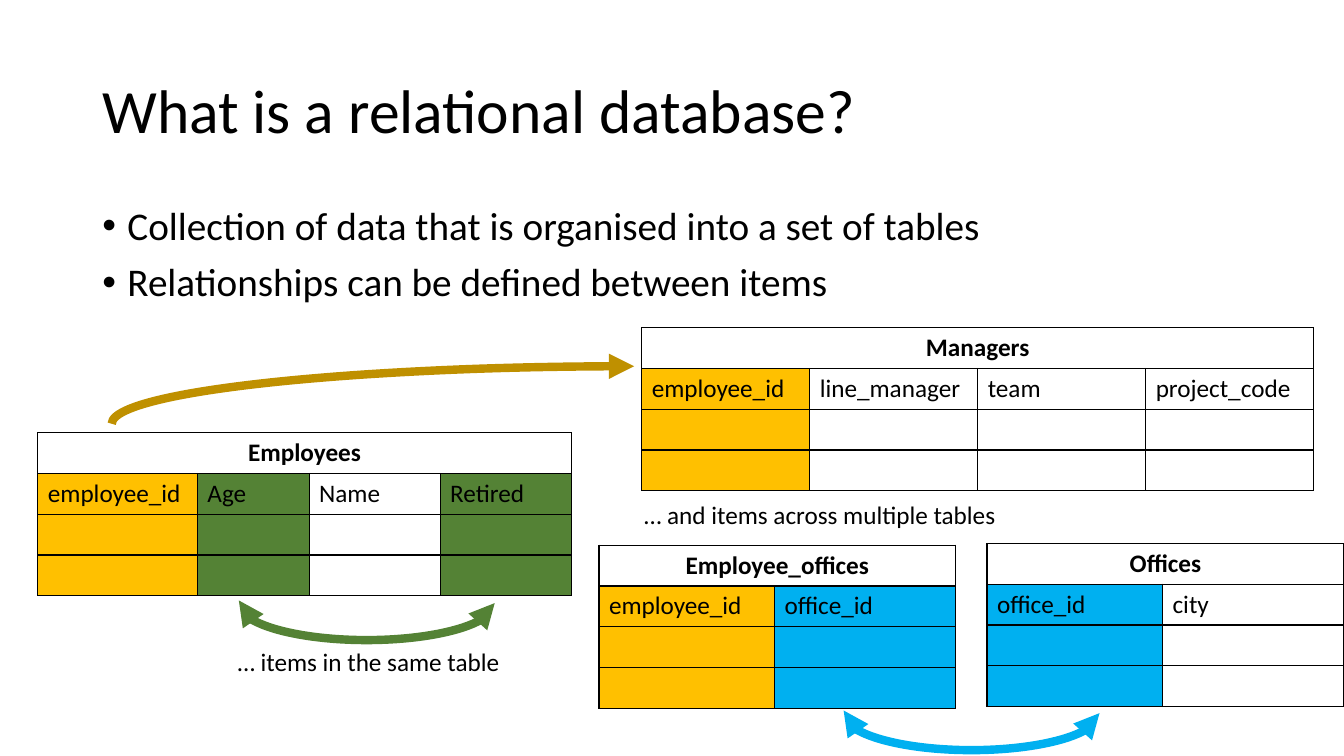
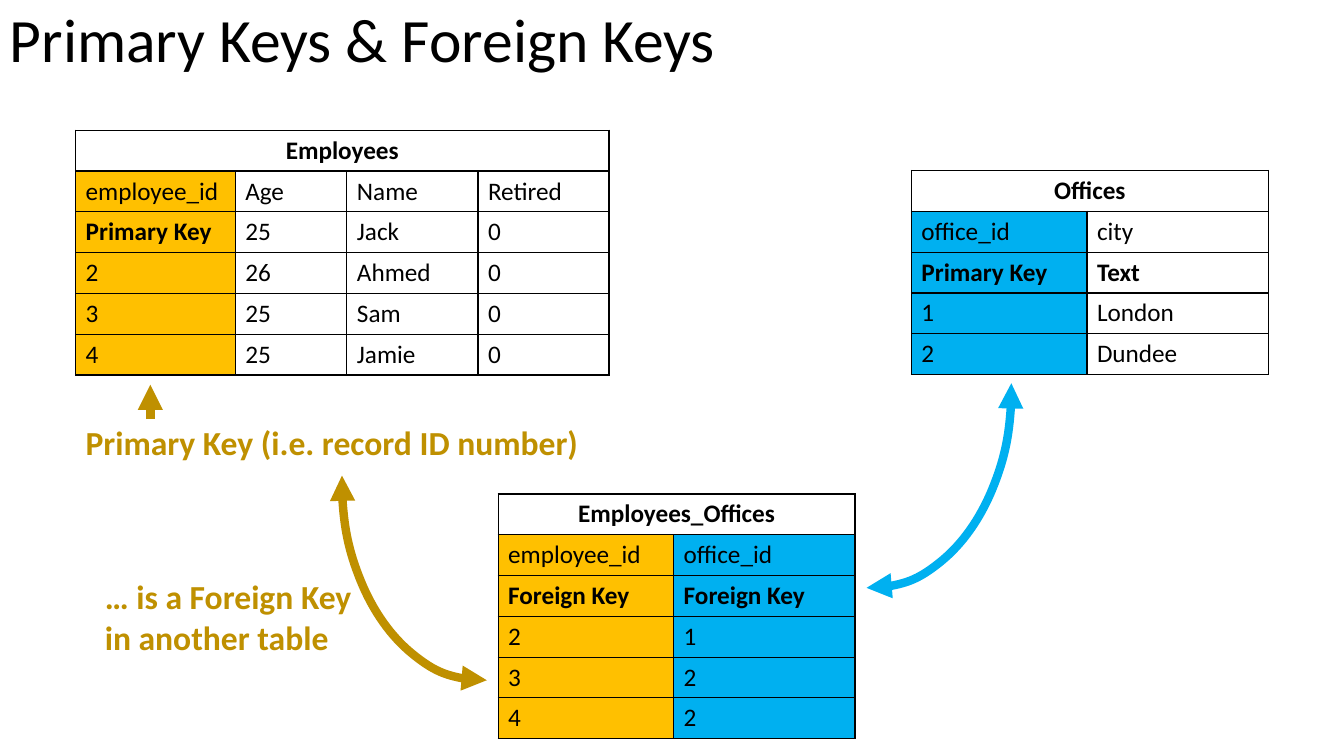
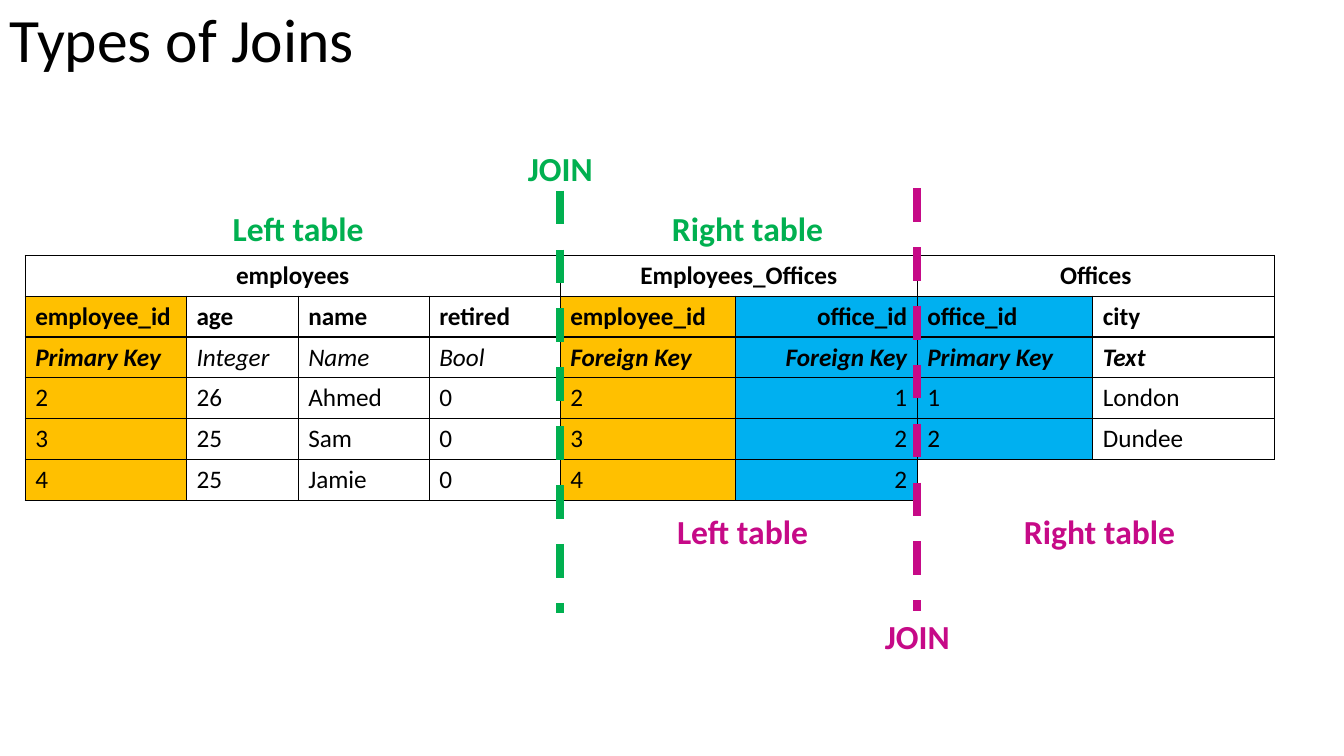
from lxml import etree
from pptx import Presentation
from pptx.dml.color import RGBColor
from pptx.enum.dml import MSO_LINE
from pptx.enum.shapes import MSO_CONNECTOR, MSO_SHAPE
from pptx.enum.text import MSO_ANCHOR, PP_ALIGN
from pptx.oxml.ns import qn
from pptx.util import Inches, Pt

WIDE, HIGH = 160, 90
CELL = Inches(1) / 12
ROW = 4.86
FONT = "Calibri"

BLACK = RGBColor(0x00, 0x00, 0x00)
AMBER = RGBColor(0xFF, 0xC0, 0x00)
GOLD = RGBColor(0xBF, 0x90, 0x00)
OLIVE = RGBColor(0x54, 0x82, 0x35)
BLUE = RGBColor(0x00, 0xB0, 0xF0)
GREEN = RGBColor(0x00, 0xB0, 0x50)
PINK = RGBColor(0xC6, 0x0A, 0x87)

LEFT, MID, RIGHT = PP_ALIGN.LEFT, PP_ALIGN.CENTER, PP_ALIGN.RIGHT
TOP, CENTER = MSO_ANCHOR.TOP, MSO_ANCHOR.MIDDLE
ARC = MSO_SHAPE.ARC
STRAIGHT = MSO_CONNECTOR.STRAIGHT
DASH = MSO_LINE.DASH

STAFF = (19, 13.3, 15.6, 15.6)
PAIR = (20.9, 21.6)
HALF = (107.28, 0)
BEND = (107.28, 163.48)


def grid(*cells):
    return [round(n * CELL) for n in cells]


def write(frame, text, size=18, color=BLACK, bold=False, italic=False,
          align=LEFT, space=1, before=0, bullet=False):
    for i, part in enumerate(text.split("\n")):
        para = frame.add_paragraph() if i else frame.paragraphs[0]
        para.alignment = align
        para.line_spacing = space
        para.space_before = Pt(before)
        run = para.add_run()
        run.text = part
        font = run.font
        font.name, font.size = FONT, Pt(size)
        font.bold, font.italic = bold, italic
        font.color.rgb = color
        if bullet:
            props = para._p.get_or_add_pPr()
            props.set("marL", str(Inches(0.25)))
            props.set("indent", str(-Inches(0.25)))
            face = etree.SubElement(props, qn("a:buFont"))
            face.set("typeface", "Arial")
            etree.SubElement(props, qn("a:buChar")).set("char", "•")


def box(slide, at, text, anchor=TOP, **style):
    frame = slide.shapes.add_textbox(*grid(*at)).text_frame
    frame.word_wrap = True
    frame.vertical_anchor = anchor
    write(frame, text, **style)


def title(slide, text, x=0, y=-3.6):
    box(slide, (x, y, 138, 17.4), text, anchor=CENTER, size=44, space=0.9)


def label(slide, mid, y, text, color):
    box(slide, (mid - 12, y, 24, 6), text, size=24, color=color,
        bold=True, align=MID)


def border(cell):
    props = cell._tc.get_or_add_tcPr()
    for i, side in enumerate(("a:lnL", "a:lnR", "a:lnT", "a:lnB")):
        line = etree.Element(qn(side), w=str(Pt(1)))
        fill = etree.SubElement(line, qn("a:solidFill"))
        etree.SubElement(fill, qn("a:srgbClr")).set("val", str(BLACK))
        props.insert(i, line)


def table(slide, x, y, cols, name, rows, fills, aligns=None):
    # A leading * marks bold and a leading / marks italic.
    count = len(rows) + 1
    at = grid(x, y, sum(cols), count * ROW)
    tab = slide.shapes.add_table(count, len(cols), *at).table
    tab.first_row = tab.horz_banding = False
    for col, width in zip(tab.columns, grid(*cols)):
        col.width = width
    for row in tab.rows:
        row.height = grid(ROW)[0]
    for cell in tab.iter_cells():
        cell.fill.background()
        border(cell)
    head = tab.cell(0, 0)
    head.merge(tab.cell(0, len(cols) - 1))
    write(head.text_frame, name, bold=True, align=MID)
    for r, line in enumerate(rows, 1):
        texts = line.split("|") if line else [""] * len(cols)
        for c, (text, color) in enumerate(zip(texts, fills)):
            cell = tab.cell(r, c)
            if color is not None:
                cell.fill.solid()
                cell.fill.fore_color.rgb = color
            if text:
                write(cell.text_frame, text.lstrip("*/"),
                      bold="*" in text, italic="/" in text,
                      align=aligns[c] if aligns else LEFT)


def stroke(shape, color, ends=()):
    shape.line.color.rgb = color
    shape.line.width = Pt(6)
    line = shape.element.spPr.find(qn("a:ln"))
    for end in ends:
        etree.SubElement(line, qn(f"a:{end}End")).set("type", "triangle")


def arc(slide, at, color, flips, span=None, turn=0, ends=("head", "tail")):
    shape = slide.shapes.add_shape(ARC, *grid(*at))
    shape.shadow.inherit = False
    shape.fill.background()
    shape.rotation = turn
    for i, angle in enumerate(span or ()):
        shape.adjustments[i] = angle
    frame = shape.element.spPr.find(qn("a:xfrm"))
    for flip in flips:
        frame.set(f"flip{flip}", "1")
    stroke(shape, color, ends)


def rule(slide, x, start, stop, color, ends=(), dash=None):
    line = slide.shapes.add_connector(STRAIGHT, *grid(x, start, x, stop))
    if dash:
        line.line.dash_style = dash
    stroke(line, color, ends)
    etree.SubElement(line.element.spPr, qn("a:effectLst"))


def intro(slide):
    title(slide, "What is a relational database?", 11, 4.8)
    box(slide, (11, 24, 138, 57.1),
        "Collection of data that is organised into a set of tables\n"
        "Relationships can be defined between items",
        size=28, space=0.9, before=10, bullet=True)
    table(slide, 4.5, 51.5, STAFF, "Employees",
          ["employee_id|Age|Name|Retired", "", ""],
          (AMBER, OLIVE, None, OLIVE))
    table(slide, 76.4, 39, (20,) * 4, "Managers",
          ["employee_id|line_manager|team|project_code", "", ""],
          (AMBER, None, None, None))
    box(slide, (27.1, 76.4, 36, 4.8), "… items in the same table")
    box(slide, (75.5, 58.9, 50.3, 4.8), "… and items across multiple tables")
    table(slide, 71.3, 64.9, PAIR, "Employee_offices",
          ["employee_id|office_id", "", ""], (AMBER, BLUE))
    table(slide, 117.5, 64.7, PAIR, "Offices",
          ["office_id|city", "", ""], (BLUE, None))
    for x, y, color in ((28.4, 67.4, OLIVE), (100.4, 80.5, BLUE)):
        arc(slide, (x, y, 30.5, 8.8), color, "V", HALF)
    arc(slide, (13.3, 43.6, 124.4, 13.7), GOLD, "H", ends=("head",))


def keys(slide):
    title(slide, "Primary Keys & Foreign Keys")
    table(slide, 59.3, 58.8, PAIR, "Employees_Offices",
          ["employee_id|office_id", "*Foreign Key|*Foreign Key",
           "2|1", "3|2", "4|2"], (AMBER, BLUE))
    table(slide, 108.5, 20.3, PAIR, "Offices",
          ["office_id|city", "*Primary Key|*Text", "1|London", "2|Dundee"],
          (BLUE, None))
    table(slide, 9, 15.5, STAFF, "Employees",
          ["employee_id|Age|Name|Retired", "*Primary Key|25|Jack|0",
           "2|26|Ahmed|0", "3|25|Sam|0", "4|25|Jamie|0"],
          (AMBER, None, None, None))
    arc(slide, (80, 29.6, 47.3, 33.5), BLUE, "V", BEND, 270)
    arc(slide, (33.8, 40.6, 47.3, 33.5), GOLD, "HV", BEND, 90)
    rule(slide, 17.9, 49.9, 45.8, GOLD, ends=("tail",))
    note = dict(size=24, color=GOLD, bold=True)
    box(slide, (9, 49.6, 63, 6), "Primary Key (i.e. record ID number)", **note)
    box(slide, (11.3, 68, 33.5, 10.9),
        "… is a Foreign Key in another table", **note)


def joins(slide):
    title(slide, "Types of Joins")
    staff = (19.2,) + STAFF[1:]
    left, top = 3, 30.4
    first = left + sum(staff)
    second = first + sum(PAIR)
    table(slide, first, top, PAIR, "Employees_Offices",
          ["*employee_id|*office_id", "*/Foreign Key|*/Foreign Key",
           "2|1", "3|2", "4|2"], (AMBER, BLUE), (LEFT, RIGHT))
    table(slide, second, top, PAIR, "Offices",
          ["*office_id|*city", "*/Primary Key|*/Text",
           "1|London", "2|Dundee"], (BLUE, None))
    table(slide, left, top, staff, "employees",
          ["*employee_id|*age|*name|*retired",
           "*/Primary Key|/Integer|/Name|/Bool",
           "2|26|Ahmed|0", "3|25|Sam|0", "4|25|Jamie|0"],
          (AMBER, None, None, None))
    for x, start, color, join, side, west, east in (
            (first, 22.7, GREEN, 17, 24.2, 35.5, 89),
            (second, 22.4, PINK, 72.7, 60.2, 88.4, 130.9)):
        rule(slide, x, start, start + 50.3, color, dash=DASH)
        label(slide, x, join, "JOIN", color)
        label(slide, west, side, "Left table", color)
        label(slide, east, side, "Right table", color)


def main():
    deck = Presentation()
    deck.slide_width, deck.slide_height = grid(WIDE, HIGH)
    for build in (intro, keys, joins):
        build(deck.slides.add_slide(deck.slide_layouts[6]))
    deck.save("out.pptx")


if __name__ == "__main__":
    main()
